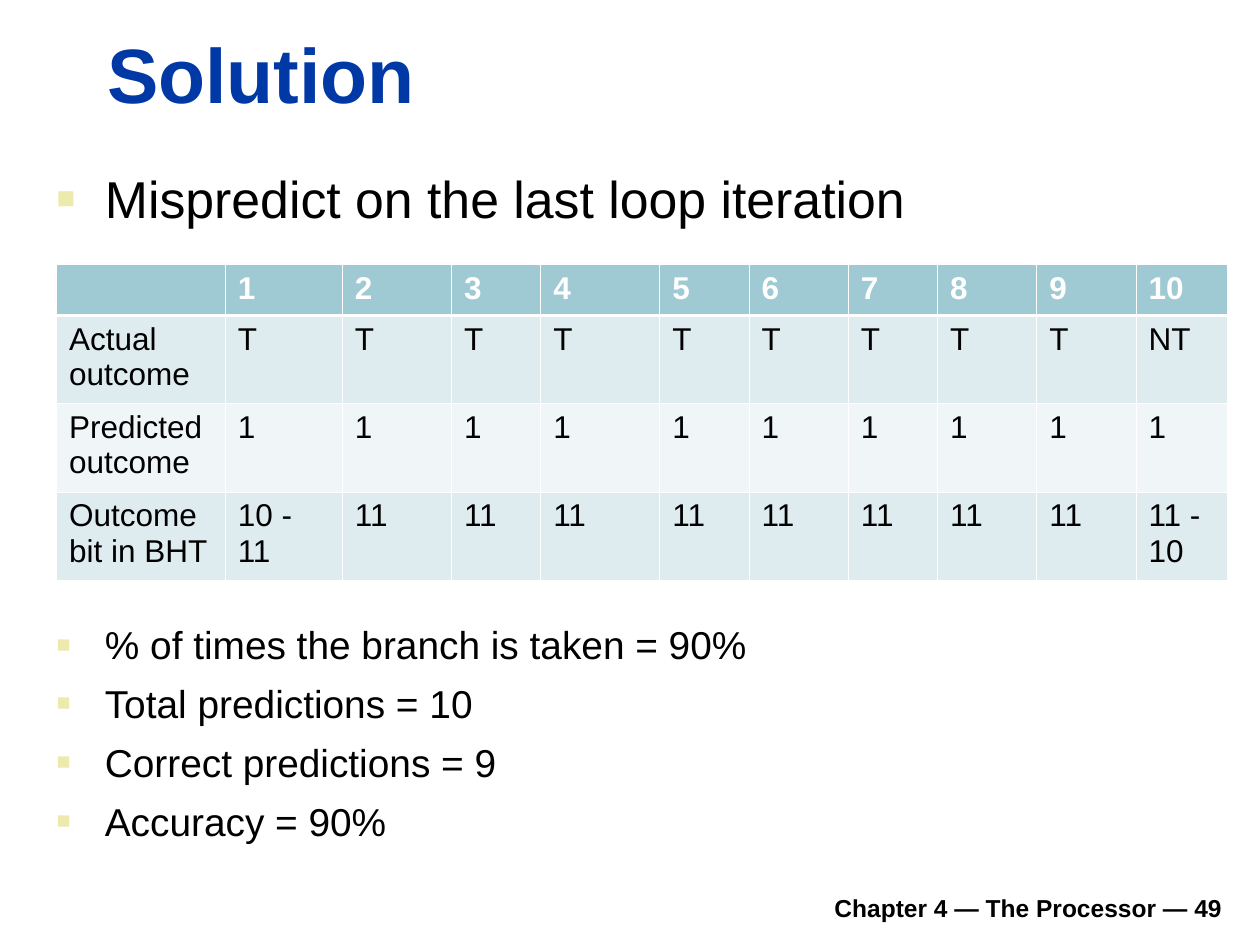
from lxml.etree import SubElement
from pptx import Presentation
from pptx.dml.color import RGBColor
from pptx.enum.text import MSO_ANCHOR, MSO_AUTO_SIZE, PP_ALIGN
from pptx.oxml import parse_xml
from pptx.oxml.ns import nsdecls, qn
from pptx.util import Cm, Pt

COLORS = {
    "title": "0039A6",
    "text": "000000",
    "bullet": "ECEAAC",
    "header": "9FCAD3",
    "band_dark": "DFECEF",
    "band_light": "F0F6F7",
    "white": "FFFFFF",
}


def format_text(paragraph, color, **values):
    paragraph.font.name = "Arial"
    paragraph.font.color.rgb = RGBColor.from_string(COLORS[color])
    for name, value in values.items():
        setattr(paragraph.font, name, value)


def add_bullet(paragraph):
    properties = paragraph._p.get_or_add_pPr()
    properties.set("marL", str(Cm(0.97)))
    properties.set("indent", str(-Cm(0.97)))
    bullet_color = SubElement(properties, qn("a:buClr"))
    SubElement(bullet_color, qn("a:srgbClr"), val=COLORS["bullet"])
    SubElement(properties, qn("a:buSzPct"), val="60000")
    SubElement(properties, qn("a:buFont"), typeface="Arial")
    SubElement(properties, qn("a:buChar"), char="■")


presentation = Presentation()
presentation.slide_width = Cm(25.4)
presentation.slide_height = Cm(19.05)
slide = presentation.slides.add_slide(presentation.slide_layouts[1])

# Title, list and footer frames
title = slide.shapes.title
body = slide.placeholders[1]
footer = slide.shapes.add_textbox(0, 0, Cm(1), Cm(1))
frames = [
    (title, (1.91, 0.41, 22.94, 2.11), MSO_ANCHOR.BOTTOM),
    (body, (0.89, 3.23, 23.98, 14.1), MSO_ANCHOR.TOP),
    (footer, (4.7, 17.73, 20.19, 0.99), MSO_ANCHOR.BOTTOM),
]
for shape, position, anchor in frames:
    for name, length in zip(("left", "top", "width", "height"), position):
        setattr(shape, name, Cm(length))
    frame_format = {
        "word_wrap": True,
        "auto_size": MSO_AUTO_SIZE.NONE,
        "vertical_anchor": anchor,
    }
    for name, value in frame_format.items():
        setattr(shape.text_frame, name, value)

# Title
title.text_frame.text = "Solution"
paragraph = title.text_frame.paragraphs[0]
paragraph.alignment = PP_ALIGN.LEFT
format_text(paragraph, "title", size=Pt(44), bold=True)

# List: the second item starts below the table
items = [
    ("Mispredict on the last loop iteration", 29.6, 0),
    ("% of times the branch is taken = 90%", 22.2, 224),
    ("Total predictions = 10", 22.2, 7),
    ("Correct predictions = 9", 22.2, 7),
    ("Accuracy = 90%", 22.2, 7),
]
body.text_frame.text = "\n".join(text for text, size, space in items)
for paragraph, (text, size, space) in zip(body.text_frame.paragraphs, items):
    add_bullet(paragraph)
    paragraph.space_before = Pt(space)
    format_text(paragraph, "text", size=Pt(size))

# Prediction table
rows = [
    [""] + [str(number) for number in range(1, 11)],
    ["Actual outcome"] + ["T"] * 9 + ["NT"],
    ["Predicted outcome"] + ["1"] * 10,
    ["Outcome bit in BHT", "10 - 11"] + ["11"] * 8 + ["11 - 10"],
]
row_fills = ["header", "band_dark", "band_light", "band_dark"]
row_heights = [1.03, 1.78, 1.78, 1.78]
column_widths = [3.4, 2.36, 2.2, 1.8, 2.4, 1.8, 2, 1.8, 2, 2, 1.84]
table = slide.shapes.add_table(
    len(rows), len(column_widths), Cm(1.14), Cm(5.33),
    Cm(sum(column_widths)), Cm(sum(row_heights)),
).table
table.horz_banding = False
for column, width in zip(table.columns, column_widths):
    column.width = Cm(width)
for row_index, texts in enumerate(rows):
    table.rows[row_index].height = Cm(row_heights[row_index])
    is_header = row_index == 0
    for column_index, text in enumerate(texts):
        cell = table.cell(row_index, column_index)
        cell.text = text
        format_text(cell.text_frame.paragraphs[0], "white" if is_header else "text",
                    size=Pt(18), bold=is_header)
        cell.fill.solid()
        cell.fill.fore_color.rgb = RGBColor.from_string(COLORS[row_fills[row_index]])
        # White borders, thicker under the header
        thick_side = {0: "B", 1: "T"}.get(row_index)
        for position, side in enumerate("LRTB"):
            width = Pt(1.47 if side == thick_side else 0.45)
            border = parse_xml(
                f'<a:ln{side} {nsdecls("a")} w="{width}"><a:solidFill>'
                f'<a:srgbClr val="{COLORS["white"]}"/></a:solidFill></a:ln{side}>'
            )
            cell._tc.get_or_add_tcPr().insert(position, border)

# Footer
footer.text_frame.text = "Chapter 4 — The Processor — 49"
paragraph = footer.text_frame.paragraphs[0]
paragraph.alignment = PP_ALIGN.RIGHT
format_text(paragraph, "text", size=Pt(14), bold=True)

presentation.save("out.pptx")
